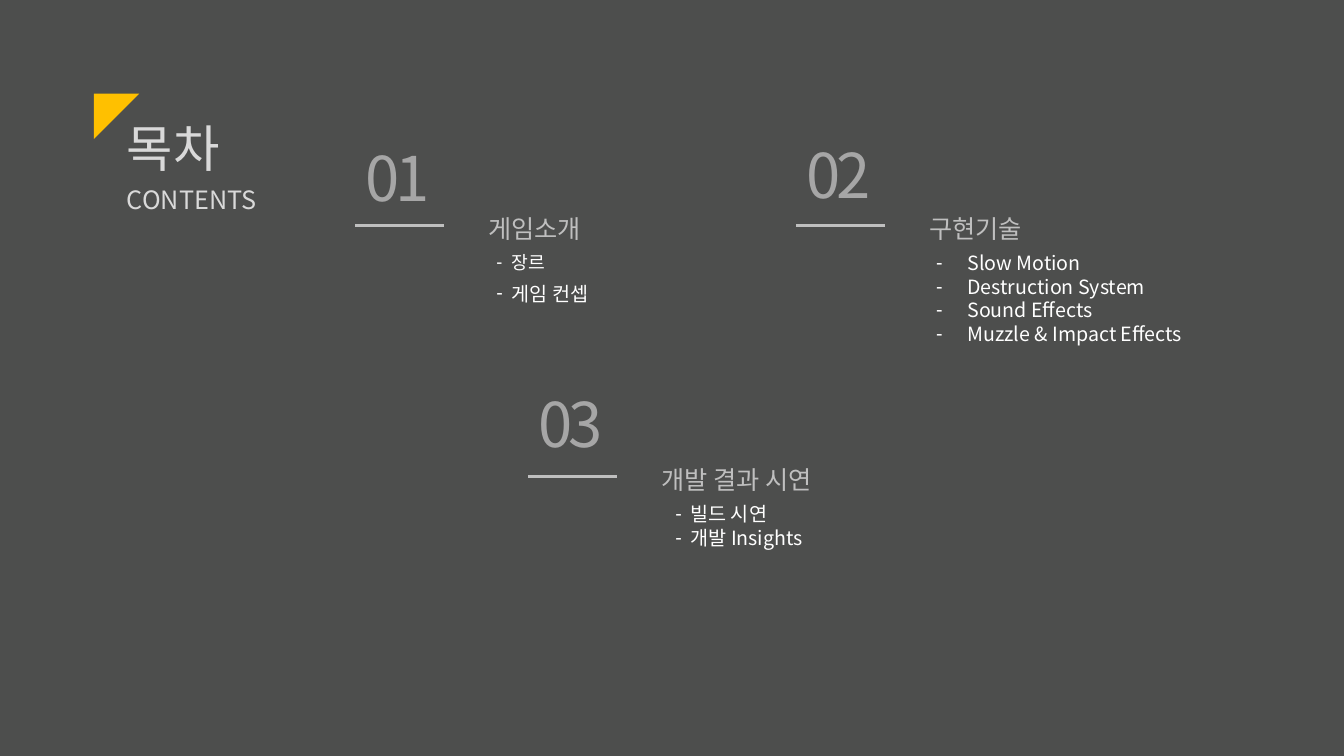
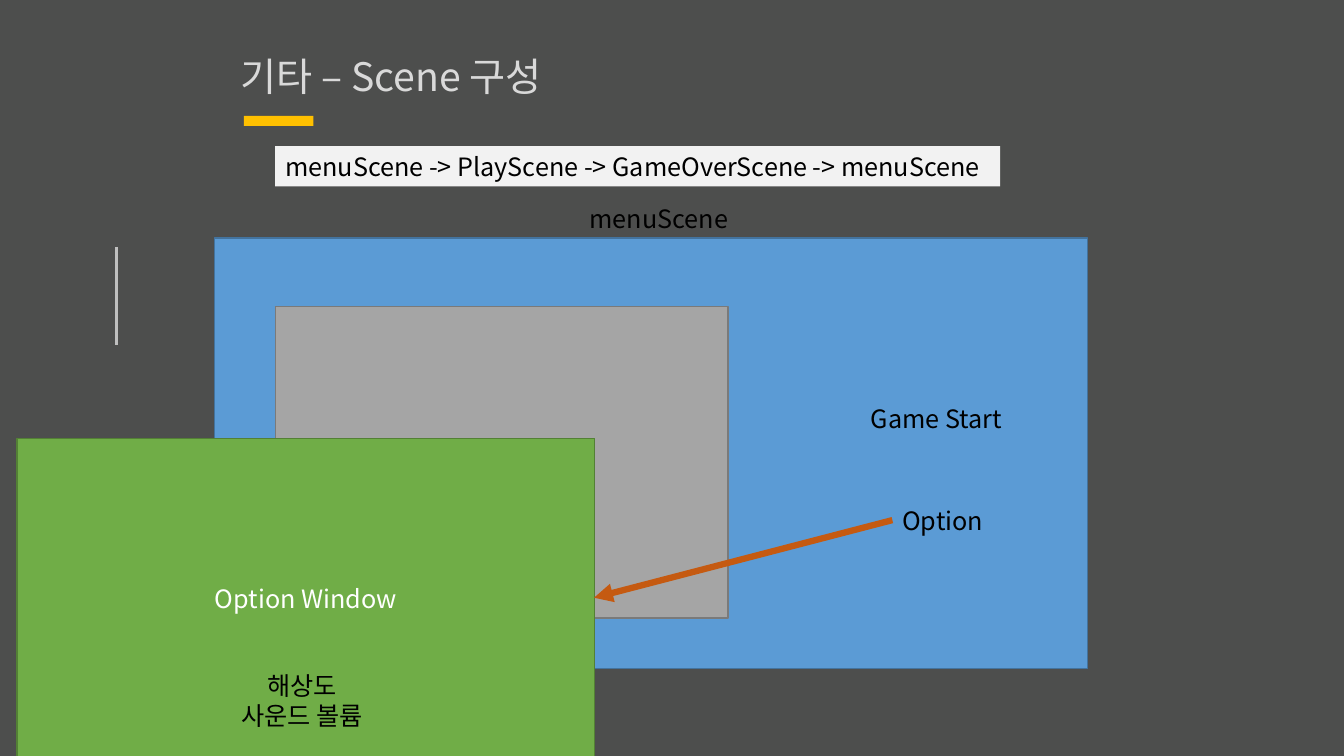
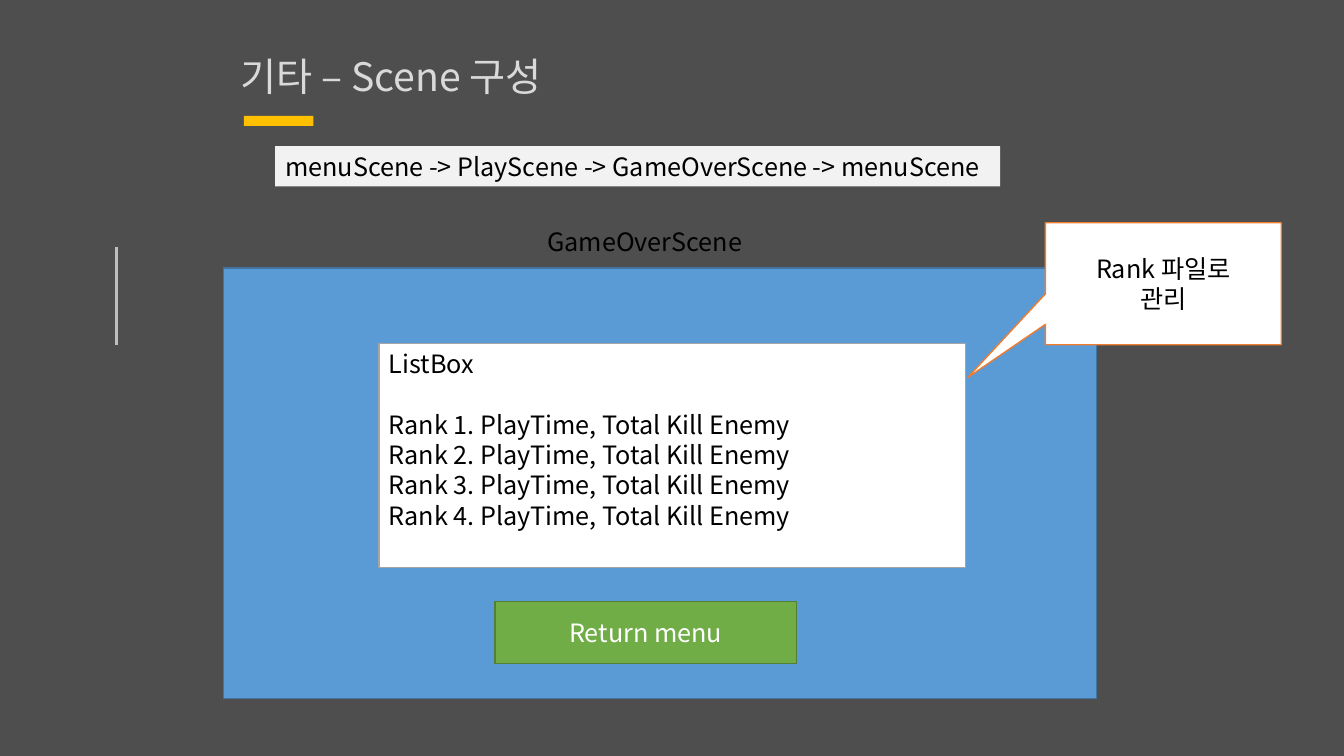
"""Build a contents slide and two scene-layout slides for a game project."""
from lxml import etree
from pptx import Presentation
from pptx import util as u
from pptx.dml.color import RGBColor
from pptx.enum import shapes, text
from pptx.oxml.ns import qn

FONT = "Noto Sans CJK KR"
BACKGROUND = RGBColor(0x4D, 0x4E, 0x4D)
WHITE = RGBColor(0xFF, 0xFF, 0xFF)
BLACK = RGBColor(0x00, 0x00, 0x00)
TITLE_GRAY = RGBColor(0xD9, 0xD9, 0xD9)
HEADING_GRAY = RGBColor(0xBF, 0xBF, 0xBF)
NUMBER_GRAY = RGBColor(0xA6, 0xA6, 0xA6)
PANEL_GRAY = RGBColor(0xA5, 0xA5, 0xA5)
PANEL_EDGE = RGBColor(0x7A, 0x7A, 0x7A)
PALE = RGBColor(0xF2, 0xF2, 0xF2)
AMBER = RGBColor(0xFF, 0xC0, 0x00)
BLUE = RGBColor(0x5B, 0x9B, 0xD5)
BLUE_EDGE = RGBColor(0x43, 0x73, 0x9E)
GREEN = RGBColor(0x70, 0xAD, 0x47)
GREEN_EDGE = RGBColor(0x53, 0x80, 0x35)
ORANGE = RGBColor(0xED, 0x7D, 0x31)
ARROW_ORANGE = RGBColor(0xC5, 0x5A, 0x11)
CENTER, MIDDLE = text.PP_ALIGN.CENTER, text.MSO_ANCHOR.MIDDLE
RECTANGLE = shapes.MSO_SHAPE.RECTANGLE

presentation = Presentation()
presentation.slide_width, presentation.slide_height = u.Inches(13.333), u.Inches(7.5)
COLUMN, ROW = presentation.slide_width / 100, presentation.slide_height / 100
background = presentation.slide_master.background.fill
background.solid()
background.fore_color.rgb = BACKGROUND


def draw(slide, at, kind=None, fill=None, line=None):
    """Add a preset shape, or a text box when no kind is given, on the 100 x 100 grid."""
    left, top, width, height = at
    frame = [int(n) for n in (left * COLUMN, top * ROW, width * COLUMN, height * ROW)]
    if kind is None:
        return slide.shapes.add_textbox(*frame)
    shape = slide.shapes.add_shape(kind, *frame)
    shape.shadow.inherit = False
    shape.fill.solid()
    shape.fill.fore_color.rgb = fill
    if line is None:
        shape.line.fill.background()
    else:
        shape.line.color.rgb = line
        shape.line.width = u.Pt(1)
    return shape


def write(shape, *lines, at=None, size=18, color=BLACK, align=text.PP_ALIGN.LEFT,
          anchor=text.MSO_ANCHOR.TOP, gaps=(), dash=0, tracking=0):
    """Fill a shape with one paragraph a line; at moves a placeholder first."""
    if at:
        shape.left, shape.top = int(at[0] * COLUMN), int(at[1] * ROW)
        shape.width, shape.height = int(at[2] * COLUMN), int(at[3] * ROW)
    frame = shape.text_frame
    frame.word_wrap = True
    frame.auto_size = text.MSO_AUTO_SIZE.NONE
    frame.vertical_anchor = anchor
    for index, line in enumerate(lines):
        paragraph = frame.add_paragraph() if index else frame.paragraphs[0]
        paragraph.alignment = align
        paragraph.space_before = u.Pt(gaps[index] if gaps else 0)
        if dash:
            properties = paragraph._p.get_or_add_pPr()
            properties.set("marL", str(u.Inches(dash)))
            properties.set("indent", str(-u.Inches(dash)))
            etree.SubElement(properties, qn("a:buChar")).set("char", "-")
        run = paragraph.add_run()
        run.text = line
        run.font.size, run.font.bold, run.font.name = u.Pt(size), False, FONT
        run.font.color.rgb = color
        properties = run._r.get_or_add_rPr()
        etree.SubElement(properties, qn("a:ea")).set("typeface", FONT)
        if tracking:
            properties.set("spc", str(tracking * 100))
    return shape


connectors = []

contents = presentation.slides.add_slide(presentation.slide_layouts[4])
write(contents.shapes.title, "목차", at=(8.7, 14.8, 13.4, 9.5), size=36, color=TITLE_GRAY)
write(contents.placeholders[1], "CONTENTS", at=(8.7, 23.73, 13.4, 5.33), color=TITLE_GRAY)
draw(contents, (6.98, 12.4, 3.38, 6), shapes.MSO_SHAPE.RIGHT_TRIANGLE, AMBER).rotation = 90

chapters = [
    ("01", "게임소개", ("장르", "게임 컨셉"), 26.44, 17.87, 27.6, 0.6, 0.15, (0, 6)),
    ("02", "구현기술", ("Slow Motion", "Destruction System", "Sound Effects",
                    "Muzzle & Impact Effects"), 59.25, 17.47, 27.6, 0.5, 0.31, ()),
    ("03", "개발 결과 시연", ("빌드 시연", "개발 Insights"), 39.3, 50.4, 60.8, 1.05, 0.15, ()),
]
for index, chapter in enumerate(chapters):
    number, heading, topics, left, number_top, top, inset, dash, gaps = chapter
    write(draw(contents, (left, number_top, 6.6, 11.2)), number,
          size=44, color=NUMBER_GRAY, tracking=-3)
    write(draw(contents, (left + 9.15, top, 17.7, 5.33)), heading, color=HEADING_GRAY)
    write(contents.placeholders[index + 2], *topics,
          at=(left + 9.15 + inset, top + 4.95, 22, 3.47 * len(topics)),
          size=14, color=WHITE, dash=dash, gaps=gaps)
    connectors.append((contents, (left, top + 2.2), (left + 6.6, top + 2.2), HEADING_GRAY, 2.25))
contents.placeholders[2].text_frame.paragraphs[0].runs[0].font.size = u.Pt(13)

scenes = []
for name, screen_at, label_at in [
    ("menuScene", (15.98, 31.47), (43.13, 26.27)),
    ("GameOverScene", (16.65, 35.47), (39.98, 29.33)),
]:
    scene = presentation.slides.add_slide(presentation.slide_layouts[5])
    write(scene.shapes.title, "기타 – Scene 구성", at=(17.18, 6.27, 58.8, 7.6),
          size=28, color=TITLE_GRAY)
    draw(scene, (18.15, 15.33, 5.18, 1.33), RECTANGLE, AMBER)
    write(draw(scene, (20.48, 19.33, 53.93, 5.33), RECTANGLE, PALE),
          "menuScene -> PlayScene -> GameOverScene -> menuScene")
    draw(scene, (*screen_at, 64.95, 56.93), RECTANGLE, BLUE, BLUE_EDGE)
    write(draw(scene, (*label_at, 50, 5.33)), name)
    connectors.append((scene, (8.7, 32.67), (8.7, 45.6), HEADING_GRAY, 2.25))
    scenes.append(scene)
menu, game_over = scenes

write(draw(menu, (64.05, 52.67, 12.4, 5.33)), "Game Start")
write(draw(menu, (66.4, 66.13, 9, 5.33)), "Option")
draw(menu, (20.48, 40.53, 33.68, 41.2), RECTANGLE, PANEL_GRAY, PANEL_EDGE)
write(draw(menu, (1.28, 58, 42.98, 42.27), RECTANGLE, GREEN, GREEN_EDGE),
      "Option Window", color=WHITE, align=CENTER, anchor=MIDDLE)
write(draw(menu, (15.98, 88, 12.98, 9.47)), "해상도", "사운드 볼륨", align=CENTER)
connectors.append((menu, (66.4, 68.8), (44.2, 79.07), ARROW_ORANGE, 4.5))

ranks = [f"Rank {place}. PlayTime, Total Kill Enemy" for place in range(1, 5)]
write(draw(game_over, (28.2, 45.47, 43.65, 29.6), RECTANGLE, WHITE, PANEL_GRAY),
      "ListBox", *ranks, gaps=(0, 21.6, 0, 0, 0))
write(draw(game_over, (36.83, 79.6, 22.43, 8.13), RECTANGLE, GREEN, GREEN_EDGE),
      "Return menu", color=WHITE, align=CENTER, anchor=MIDDLE)
callout = draw(game_over, (77.78, 29.47, 17.55, 16.13),
               shapes.MSO_SHAPE.RECTANGULAR_CALLOUT, WHITE, ORANGE)
callout.adjustments[0], callout.adjustments[1] = -0.83, 0.77
write(callout, "Rank 파일로", "관리", align=CENTER, anchor=MIDDLE)

for slide, start, end, color, width in connectors:
    connector = slide.shapes.add_connector(
        shapes.MSO_CONNECTOR.STRAIGHT, int(start[0] * COLUMN), int(start[1] * ROW),
        int(end[0] * COLUMN), int(end[1] * ROW))
    connector.line.color.rgb = color
    connector.line.width = u.Pt(width)
    if color == ARROW_ORANGE:
        etree.SubElement(connector.line._get_or_add_ln(), qn("a:tailEnd")).set("type", "triangle")
    etree.SubElement(connector._element.spPr, qn("a:effectLst"))

presentation.save("out.pptx")
